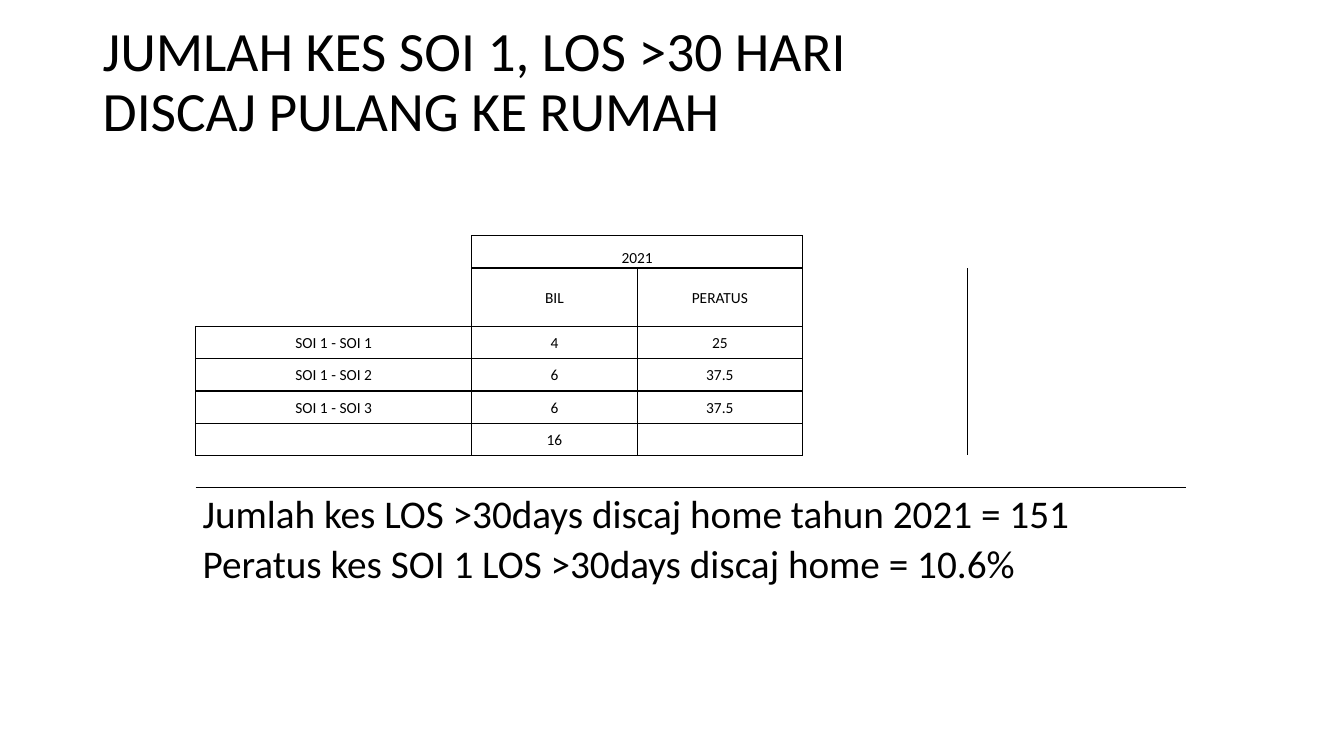
from dataclasses import dataclass
from lxml import etree
from pptx import Presentation
from pptx.dml.color import RGBColor
from pptx.enum import text as t
from pptx.oxml import ns
from pptx.util import Inches, Pt


@dataclass(frozen=True)
class Theme:
    font: str = "Calibri"
    ink: str = "000000"
    head: float = 39.6
    body: float = 11
    note: float = 28
    line: float = 1
    plain: str = "{2D5ABB26-0587-4C30-8999-92F81FD0307C}"


LOOK = Theme()
MID = t.MSO_ANCHOR.MIDDLE
LOW = t.MSO_ANCHOR.BOTTOM
COLS = [2.74, 1.64, 1.64, 1.64, 2.16]
ROWS = [0.32, 0.3, 0.32, 0.32, 0.58] + [0.32] * 8
TOP, BODY, LAST = 3, 5, 8
DATA = [
    ["", "2021", ""],
    ["", "BIL", "PERATUS"],
    ["SOI 1 - SOI 1", "4", "25"],
    ["SOI 1 - SOI 2", "6", "37.5"],
    ["SOI 1 - SOI 3", "6", "37.5"],
    ["", "16", ""],
]
NOTES = [
    "Jumlah kes LOS >30days discaj home tahun 2021 = 151",
    "Peratus kes SOI 1 LOS >30days discaj home = 10.6%",
]
SIDES = {"L": (0, -1), "R": (0, 1), "T": (-1, 0), "B": (1, 0)}


def apply(item, form):
    for key, value in form.items():
        setattr(item, key, value)


def write(para, words, size, align, space):
    apply(para, {"alignment": align, "line_spacing": space})
    para.text = words
    for run in para.runs:
        apply(run.font, {"name": LOOK.font, "size": Pt(size)})
        run.font.color.rgb = RGBColor.from_string(LOOK.ink)


def heading(slide, box):
    frame = slide.shapes.add_textbox(*map(Inches, box)).text_frame
    apply(frame, {"word_wrap": True, "vertical_anchor": MID,
                  "margin_bottom": Inches(0.64)})
    write(frame.paragraphs[0], "JUMLAH KES SOI 1, LOS >30 HARI\vDISCAJ PULANG KE RUMAH",
          LOOK.head, t.PP_ALIGN.LEFT, 0.9)


def boxed(row, col):
    return TOP <= row <= LAST and (0 if row >= BODY else 1) <= col <= 2


def border(cell, row, col):
    props = cell._tc.get_or_add_tcPr()
    for side, (down, over) in SIDES.items():
        if boxed(row, col) or boxed(row + down, col + over):
            line = etree.SubElement(props, ns.qn("a:ln" + side), w=str(Pt(LOOK.line)))
            fill = etree.SubElement(line, ns.qn("a:solidFill"))
            etree.SubElement(fill, ns.qn("a:srgbClr"), val=LOOK.ink)


def fill(cell, words, size, align, anchor):
    apply(cell, {"margin_left": Inches(0.07), "margin_right": Inches(0.07),
                 "margin_top": 0, "margin_bottom": 0, "vertical_anchor": anchor})
    cell.fill.background()
    para = cell.text_frame.paragraphs[0]
    write(para, words, size, align, 1.07)
    if not words:
        etree.SubElement(para._p, ns.qn("a:endParaRPr"), sz=str(size * 100))


def grid(slide, box):
    frame = slide.shapes.add_table(len(ROWS), len(COLS), *map(Inches, box))
    table = frame.table
    apply(table, {"first_row": False, "horz_banding": False})
    table._tbl.tblPr.find(ns.qn("a:tableStyleId")).text = LOOK.plain
    for col, width in zip(table.columns, COLS):
        col.width = Inches(width)
    for row, height in zip(table.rows, ROWS):
        row.height = Inches(height)
    words = {(TOP + r, c): item for r, line in enumerate(DATA)
             for c, item in enumerate(line)}
    notes = {(LAST + 2 + n, 0): item for n, item in enumerate(NOTES)}
    for r in range(len(ROWS)):
        for c in range(len(COLS)):
            cell = table.cell(r, c)
            border(cell, r, c)
            if (r, c) in notes:
                fill(cell, notes[r, c], LOOK.note, t.PP_ALIGN.LEFT, LOW)
            else:
                fill(cell, words.get((r, c), ""), LOOK.body, t.PP_ALIGN.CENTER,
                     LOW if r == TOP else MID)
    for r in [1] + [row for row, _ in notes]:
        table.cell(r, 0).merge(table.cell(r, len(COLS) - 1))
    table.cell(TOP, 1).merge(table.cell(TOP, 2))


def main():
    deck = Presentation()
    apply(deck, {"slide_width": Inches(13.33), "slide_height": Inches(7.5)})
    slide = deck.slides.add_slide(deck.slide_layouts[6])
    heading(slide, (0.92, 0.4, 11.5, 1.45))
    grid(slide, (1.94, 1.4, sum(COLS), sum(ROWS)))
    deck.save("out.pptx")


if __name__ == "__main__":
    main()
